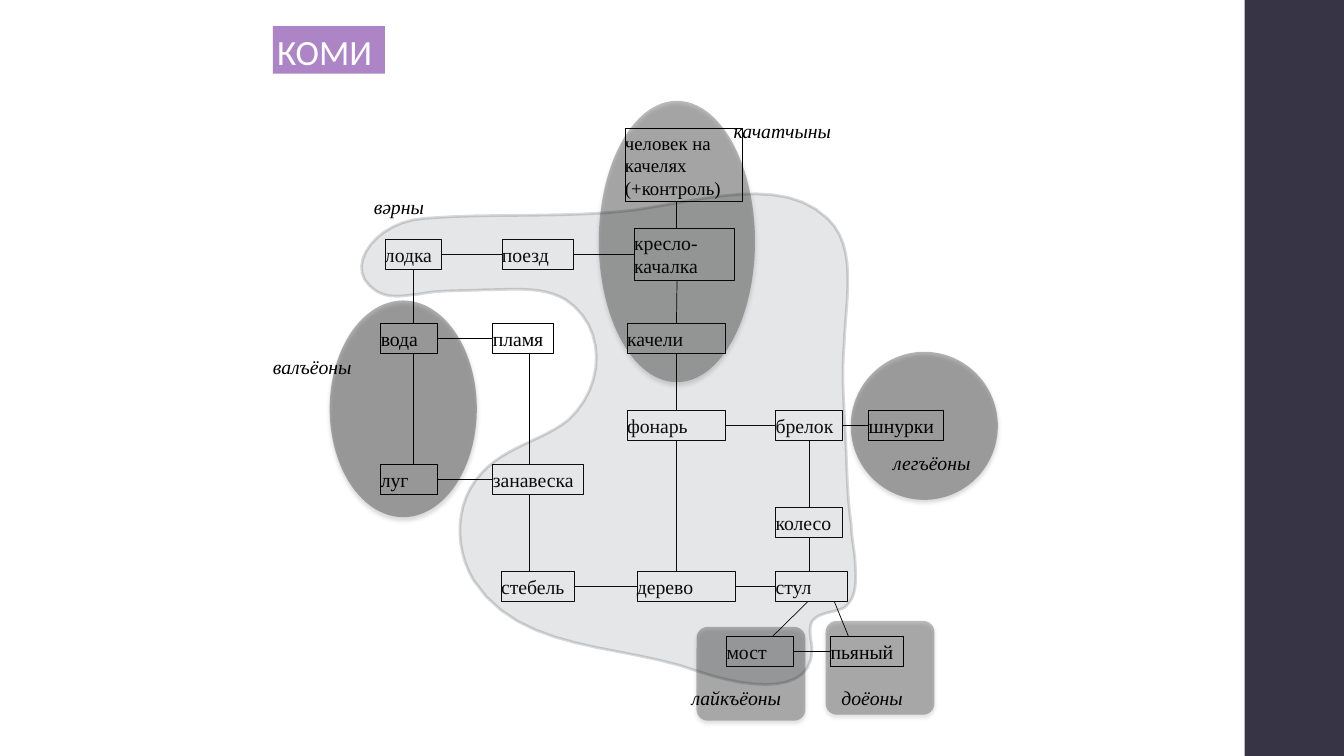
"""Build the Komi semantic map slide of swinging verbs."""
from lxml.etree import SubElement
from pptx import Presentation
from pptx.dml.color import RGBColor
from pptx.enum.shapes import MSO_CONNECTOR, MSO_SHAPE
from pptx.enum.text import MSO_ANCHOR, MSO_AUTO_SIZE, PP_ALIGN
from pptx.oxml.ns import qn
from pptx.util import Pt

TITLE = "КОМИ"
SERIF = "Times New Roman"
BLACK, WHITE, PURPLE, NAVY, SLATE = "000000", "FFFFFF", "AD84C6", "373545", "53585F"
TEXT_SIZE, NODE_H, LABEL_H = 14.1, 21.6, 16
TOP, RIGHT, BOTTOM, LEFT = 0, 3, 2, 1

ROWS = [
    (170.8, [("лодка", 275, 40.5), ("поезд", 358.5, 51)]),
    (230.8, [("вода", 272, 40.5), ("пламя", 352, 43.2), ("качели", 448, 70.4)]),
    (293.2, [("фонарь", 448, 70.4), ("брелок", 554, 48), ("шнурки", 620.5, 53.3)]),
    (331.8, [("луг", 272, 40.5), ("занавеска", 352, 64.5)]),
    (362.2, [("колесо", 554, 48)]),
    (408.2, [("стебель", 358, 52), ("дерево", 455, 70.4), ("стул", 554, 51)]),
    (454.4, [("мост", 519, 48), ("пьяный", 593.3, 52)]),
]
TALL_NODES = [
    ("человек на качелях (+контроль)", 446.4, 92, 84.2, 52, 13.4),
    ("кресло-качалка", 453, 162.8, 71.3, 37.6, TEXT_SIZE),
]
SIDE_LINKS = [
    ("лодка", "поезд"), ("поезд", "кресло-качалка"), ("вода", "пламя"),
    ("фонарь", "брелок"), ("брелок", "шнурки"), ("луг", "занавеска"),
    ("стебель", "дерево"), ("дерево", "стул"), ("мост", "пьяный"),
]
DOWN_LINKS = [
    ("человек на качелях (+контроль)", "кресло-качалка", 483.2, 483.2),
    ("кресло-качалка", "качели", 483.6, 483.6),
    ("качели", "фонарь", 483.2, 483.2),
    ("фонарь", "дерево", 483.2, 483.2),
    ("брелок", "колесо", 578, 578),
    ("колесо", "стул", 578, 578),
    ("лодка", "вода", 295.25, 295.25),
    ("вода", "луг", 295.25, 295.25),
    ("пламя", "занавеска", 378, 378),
    ("занавеска", "стебель", 378, 378),
    ("стул", "мост", 577, 552),
    ("стул", "пьяный", 596, 606),
]
BLOB_START = (500, 480)
BLOB_CURVES = [
    ((444, 459), (372, 467), (338, 414)), ((324, 390), (325, 358), (344, 338)),
    ((361, 319), (387, 315), (406, 300)), ((433, 275), (433, 233), (404, 214)),
    ((387, 204), (366, 207), (346, 207)), ((330, 208), (314, 207), (300, 210)),
    ((288, 211), (275, 215), (264, 204)), ((247, 188), (270, 158), (303, 156)),
    ((351, 152), (403, 156), (453, 150)), ((502, 143), (559, 125), (591, 156)),
    ((613, 176), (604, 215), (603, 246)), ((601, 269), (603, 290), (604, 312)),
    ((605, 333), (605, 354), (608, 374)), ((608, 384), (611, 395), (611, 405)),
    ((612, 417), (611, 428), (603, 434)), ((595, 438), (585, 437), (580, 444)),
    ((577, 450), (580, 458), (580, 464)), ((580, 495), (539, 493), BLOB_START),
]
ZONES = [
    (MSO_SHAPE.ROUNDED_RECTANGLE, 589.7, 443.5, 77.8, 67, 25),
    (MSO_SHAPE.OVAL, 235.5, 214.6, 105.1, 154.8, 30),
    (MSO_SHAPE.OVAL, 427.7, 72, 111.6, 201, 26),
    (MSO_SHAPE.OVAL, 607.7, 251.3, 105.1, 105.8, 29),
    (MSO_SHAPE.ROUNDED_RECTANGLE, 497.5, 447.8, 77.8, 67, 25),
]
LABELS = [
    ("качатчыны", 524, 85, 76), ("вәрны", 267, 139.7, 43),
    ("валъёоны", 195, 254.2, 64), ("легъёоны", 638, 322.6, 63),
    ("лайкъёоны", 494, 490.3, 70.5), ("доёоны", 601, 490.3, 50.5),
]


def color(value):
    return RGBColor.from_string(value)


def style(sp, fill=None, line=None, width=0.5, alpha=None):
    if fill:
        sp.fill.solid()
        sp.fill.fore_color.rgb = color(fill)
    else:
        sp.fill.background()
    if line:
        sp.line.color.rgb = color(line)
        sp.line.width = Pt(width)
    else:
        sp.line.fill.background()
    sp.shadow.inherit = False
    if alpha:
        for clr in sp._element.spPr.iter(qn("a:srgbClr")):
            SubElement(clr, qn("a:alpha"), val=str(alpha * 1000))


def write(sp, text, size, font=SERIF, ink=BLACK, italic=False, inset=0, anchor=MSO_ANCHOR.MIDDLE):
    tf = sp.text_frame
    tf.text = text
    tf.word_wrap = True
    tf.auto_size = MSO_AUTO_SIZE.NONE
    tf.vertical_anchor = anchor
    tf.margin_left = tf.margin_right = tf.margin_top = tf.margin_bottom = Pt(inset)
    p = tf.paragraphs[0]
    p.alignment = PP_ALIGN.LEFT
    r = p.runs[0]
    r.font.name, r.font.size, r.font.italic = font, Pt(size), italic
    r.font.color.rgb = color(ink)


def add_node(s, text, x, y, w, h, size):
    sp = s.shapes.add_shape(MSO_SHAPE.RECTANGLE, Pt(x), Pt(y), Pt(w), Pt(h))
    style(sp, line=BLACK)
    write(sp, text, size)
    return sp


def add_link(s, start, end, begin_join=None, end_join=None):
    cx = s.shapes.add_connector(MSO_CONNECTOR.STRAIGHT, *map(Pt, start + end))
    if begin_join:
        cx.begin_connect(*begin_join)
    if end_join:
        cx.end_connect(*end_join)
    cx.line.color.rgb = color(BLACK)
    cx.line.width = Pt(0.5)
    SubElement(cx._element.spPr, qn("a:effectLst"))


def add_side_link(s, a, b):
    start = ((a.left + a.width).pt if hasattr(a.left + a.width, "pt") else (a.left + a.width) / Pt(1),
             (a.top + a.height / 2) / Pt(1))
    end = (b.left / Pt(1), (b.top + b.height / 2) / Pt(1))
    add_link(s, start, end, (a, RIGHT), (b, LEFT))


def add_down_link(s, a, b, x1, x2):
    def join(sp, x, site):
        centered = abs(sp.left + sp.width / 2 - Pt(x)) < Pt(0.5)
        return (sp, site) if centered else None

    start, end = (x1, (a.top + a.height) / Pt(1)), (x2, b.top / Pt(1))
    add_link(s, start, end, join(a, x1, BOTTOM), join(b, x2, TOP))


def curve_points(p0, p1, p2, p3, steps=12):
    for i in range(1, steps + 1):
        t = i / steps
        weights = ((1 - t) ** 3, 3 * t * (1 - t) ** 2, 3 * t * t * (1 - t), t ** 3)
        yield tuple(Pt(sum(w * v for w, v in zip(weights, axis)))
                    for axis in zip(p0, p1, p2, p3))


def add_blob(s):
    builder = s.shapes.build_freeform(*map(Pt, BLOB_START))
    here = BLOB_START
    for curve in BLOB_CURVES:
        builder.add_line_segments(list(curve_points(here, *curve)), close=False)
        here = curve[-1]
    builder.add_line_segments([], close=True)
    style(builder.convert_to_shape(), SLATE, BLACK, 2, 15)


def add_zone(s, kind, x, y, w, h, alpha):
    sp = s.shapes.add_shape(kind, *map(Pt, (x, y, w, h)))
    if kind == MSO_SHAPE.ROUNDED_RECTANGLE:
        sp.adjustments[0] = 0.12
    style(sp, BLACK, alpha=alpha)
    effects = sp._element.spPr.find(qn("a:effectLst"))
    shadow = SubElement(effects, qn("a:outerShdw"), blurRad=str(Pt(3)), dist=str(Pt(2)),
                        dir="5400000", rotWithShape="0")
    clr = SubElement(shadow, qn("a:srgbClr"), val=BLACK)
    SubElement(clr, qn("a:alpha"), val="50000")


def main():
    prs = Presentation()
    prs.slide_width, prs.slide_height = Pt(960), Pt(540)
    s = prs.slides.add_slide(prs.slide_layouts[5])
    title = s.shapes.title
    title.left, title.top, title.width, title.height = map(Pt, (195, 18.7, 80, 34))
    style(title, PURPLE)
    write(title, TITLE, 25.3, "Calibri", WHITE, inset=3, anchor=MSO_ANCHOR.TOP)
    sidebar = s.shapes.add_shape(MSO_SHAPE.RECTANGLE, Pt(889), 0, Pt(71), Pt(540))
    style(sidebar, NAVY)

    nodes = {node[0]: add_node(s, *node) for node in TALL_NODES}
    for y, row in ROWS:
        for text, x, w in row:
            nodes[text] = add_node(s, text, x, y, w, NODE_H, TEXT_SIZE)
    for a, b in SIDE_LINKS:
        add_side_link(s, nodes[a], nodes[b])
    for a, b, x1, x2 in DOWN_LINKS:
        add_down_link(s, nodes[a], nodes[b], x1, x2)
    add_blob(s)
    for zone in ZONES:
        add_zone(s, *zone)
    for text, x, y, w in LABELS:
        sp = s.shapes.add_textbox(Pt(x), Pt(y), Pt(w), Pt(LABEL_H))
        write(sp, text, TEXT_SIZE, italic=True)
    prs.save("out.pptx")


if __name__ == "__main__":
    main()
